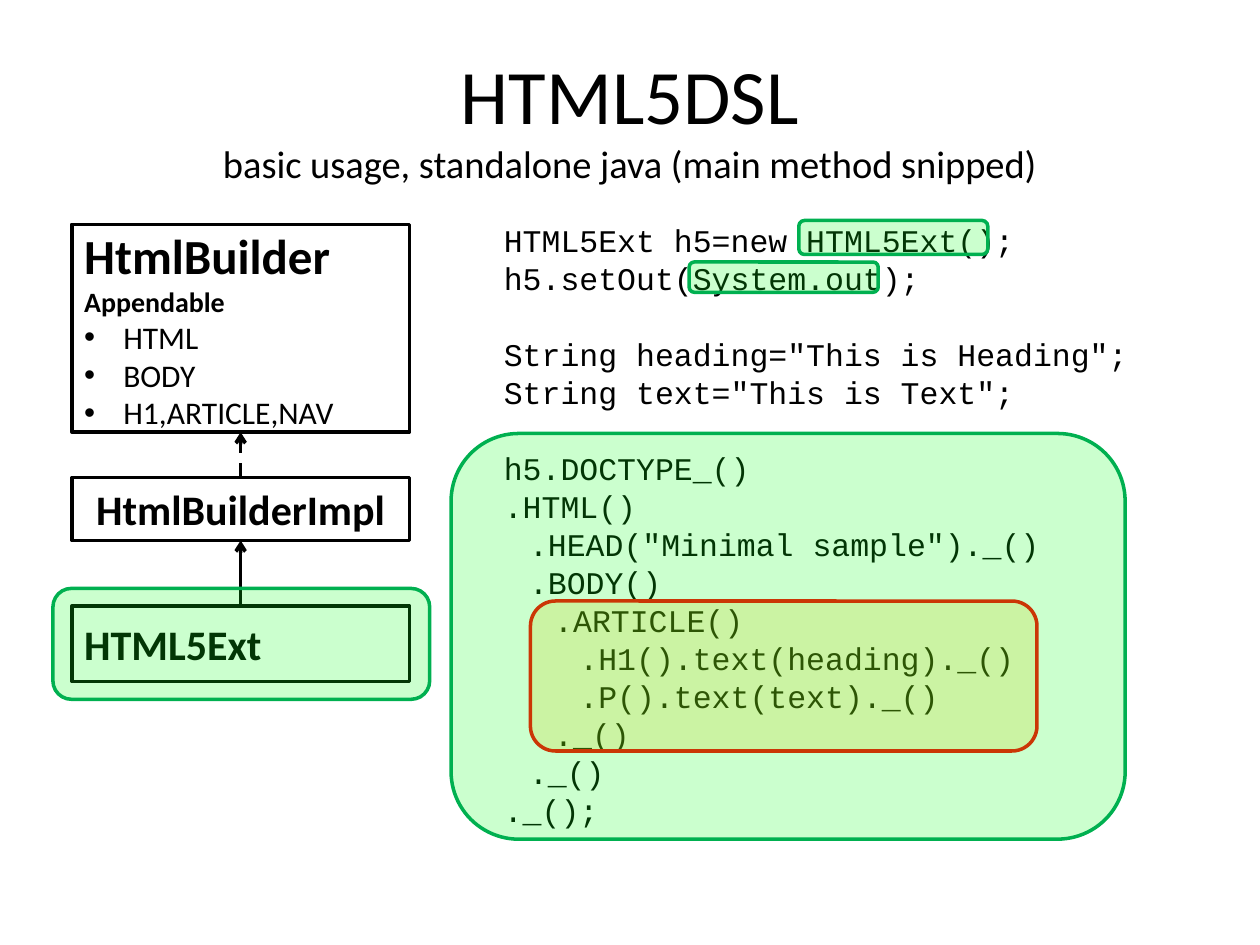
from lxml import etree
from pptx import Presentation
from pptx.dml.color import RGBColor
from pptx.enum.dml import MSO_LINE
from pptx.enum.shapes import MSO_CONNECTOR, MSO_SHAPE
from pptx.enum.text import MSO_ANCHOR, MSO_AUTO_SIZE, PP_ALIGN
from pptx.oxml.ns import qn
from pptx.util import Inches, Pt

RECT, ROUNDED = MSO_SHAPE.RECTANGLE, MSO_SHAPE.ROUNDED_RECTANGLE
LEFT, CENTER = PP_ALIGN.LEFT, PP_ALIGN.CENTER
MIDDLE, TOP = MSO_ANCHOR.MIDDLE, MSO_ANCHOR.TOP
BLACK = RGBColor(0x00, 0x00, 0x00)
GREEN = RGBColor(0x00, 0xB0, 0x50)
LIME = RGBColor(0x0D, 0xFF, 0x19)
RED = RGBColor(0xFF, 0x00, 0x00)
AMBER = RGBColor(0xFF, 0xC0, 0x00)

# Content
TITLE = "HTML5DSL"
SUBTITLE = "basic usage, standalone java (main method snipped)"

# Class boxes: top, height, alignment, lines of (text, size, bold, bulleted)
CLASS_LEFT, CLASS_WIDTH = 0.57, 2.68
CLASSES = [
    (1.78, 1.65, LEFT, [
        ("HtmlBuilder", 28, True, False),
        ("Appendable", 16, True, False),
        ("HTML", 18, False, True),
        ("BODY", 18, False, True),
        ("H1,ARTICLE,NAV", 18, False, True),
    ]),
    (3.79, 0.5, CENTER, [("HtmlBuilderImpl", 24, True, False)]),
    (4.81, 0.6, LEFT, [("HTML5Ext", 24, True, False)]),
]
ARROW_DASHES = [MSO_LINE.DASH, None]  # implements, extends

# Code groups: lines of (nesting level, text)
CODE = [
    [(0, "HTML5Ext h5=new HTML5Ext();"),
     (0, "h5.setOut(System.out);")],
    [(0, 'String heading="This is Heading";'),
     (0, 'String text="This is Text";')],
    [(0, "h5.DOCTYPE_()"),
     (0, ".HTML()"),
     (1, '.HEAD("Minimal sample")._()'),
     (1, ".BODY()"),
     (2, ".ARTICLE()"),
     (3, ".H1().text(heading)._()"),
     (3, ".P().text(text)._()"),
     (2, "._()"),
     (1, "._()"),
     (0, "._();")],
]
CODE_INDENT, CODE_PITCH = 0.2, Pt(21.7)

# Highlights, back to front: left, top, width, height, fill, line
HIGHLIGHTS = [
    (6.34, 1.75, 1.5, 0.27, LIME, GREEN),
    (5.47, 2.08, 1.5, 0.24, LIME, GREEN),
    (0.42, 4.67, 2.99, 0.88, LIME, GREEN),
    (4.21, 4.77, 4.02, 1.19, AMBER, RED),
    (3.58, 3.44, 5.35, 3.22, LIME, GREEN),
]
HIGHLIGHT_OPACITY = 21


def style_font(font, size, name="Calibri", bold=False):
    font.name, font.size, font.bold = name, Pt(size), bold
    font.color.rgb = BLACK


def add_outline(slide, preset, box, color):
    shape = slide.shapes.add_shape(preset, *map(Inches, box))
    shape.shadow.inherit = False
    shape.fill.background()
    shape.line.color.rgb = color
    shape.line.width = Pt(2)
    return shape


def add_bullet(paragraph):
    props = paragraph._p.get_or_add_pPr()
    props.set("marL", str(Inches(0.31)))
    props.set("indent", str(-Inches(0.31)))
    etree.SubElement(props, qn("a:buFont"), typeface="Arial")
    etree.SubElement(props, qn("a:buChar"), char="•")


def add_class(slide, top, height, align, lines):
    box = add_outline(slide, RECT, (CLASS_LEFT, top, CLASS_WIDTH, height), BLACK)
    frame = box.text_frame
    frame.word_wrap, frame.vertical_anchor = True, MIDDLE
    for i, (text, size, bold, bulleted) in enumerate(lines):
        paragraph = frame.add_paragraph() if i else frame.paragraphs[0]
        paragraph.text, paragraph.alignment = text, align
        if bulleted:
            add_bullet(paragraph)
        style_font(paragraph.font, size, bold=bold)


def add_arrow(slide, x, start, end, dash):
    arrow = slide.shapes.add_connector(
        MSO_CONNECTOR.STRAIGHT, Inches(x), Inches(start), Inches(x), Inches(end))
    arrow.line.color.rgb = BLACK
    arrow.line.width = Pt(2)
    if dash is not None:
        arrow.line.dash_style = dash
    etree.SubElement(arrow.line._get_or_add_ln(), qn("a:tailEnd"), type="arrow")
    etree.SubElement(arrow._element.spPr, qn("a:effectLst"))


def add_code(slide):
    box = slide.shapes.add_textbox(
        Inches(3.9), Inches(1.7), Inches(5.18), Inches(4.95))
    frame = box.text_frame
    frame.word_wrap, frame.vertical_anchor = False, TOP
    for g, group in enumerate(CODE):
        for i, (level, text) in enumerate(group):
            first = g == i == 0
            paragraph = frame.paragraphs[0] if first else frame.add_paragraph()
            paragraph.text = text
            paragraph.line_spacing = CODE_PITCH
            if g and i == 0:
                paragraph.space_before = CODE_PITCH
            margin = str(Inches(CODE_INDENT * level))
            paragraph._p.get_or_add_pPr().set("marL", margin)
            style_font(paragraph.font, 18, "Courier New")


def add_highlight(slide, *spec_box, fill, line):
    shape = add_outline(slide, ROUNDED, spec_box, line)
    shape.fill.solid()
    shape.fill.fore_color.rgb = fill
    color = shape._element.spPr.find(qn("a:solidFill"))[0]
    etree.SubElement(color, qn("a:alpha"), val=str(HIGHLIGHT_OPACITY * 1000))


def add_title(slide):
    title = slide.shapes.title
    title.left, title.top = Inches(0.5), Inches(0.3)
    title.width, title.height = Inches(9), Inches(1.25)
    frame = title.text_frame
    frame.auto_size, frame.vertical_anchor = MSO_AUTO_SIZE.NONE, MIDDLE
    heading = frame.paragraphs[0]
    heading.alignment = CENTER
    for text, size in ((TITLE, 44), (SUBTITLE, 22)):
        if heading.runs:
            heading.add_line_break()
        run = heading.add_run()
        run.text = text
        style_font(run.font, size)


def main():
    prs = Presentation()
    prs.slide_width, prs.slide_height = Inches(10), Inches(7.5)
    slide = prs.slides.add_slide(prs.slide_layouts[5])
    add_title(slide)

    # Class hierarchy, each class pointing up to its parent
    for entry in CLASSES:
        add_class(slide, *entry)
    middle = CLASS_LEFT + CLASS_WIDTH / 2
    for parent, child, dash in zip(CLASSES, CLASSES[1:], ARROW_DASHES):
        add_arrow(slide, middle, child[0], parent[0] + parent[1], dash)

    # Code sample and its highlights
    add_code(slide)
    for *box, fill, line in HIGHLIGHTS:
        add_highlight(slide, *box, fill=fill, line=line)
    prs.save("out.pptx")


if __name__ == "__main__":
    main()
